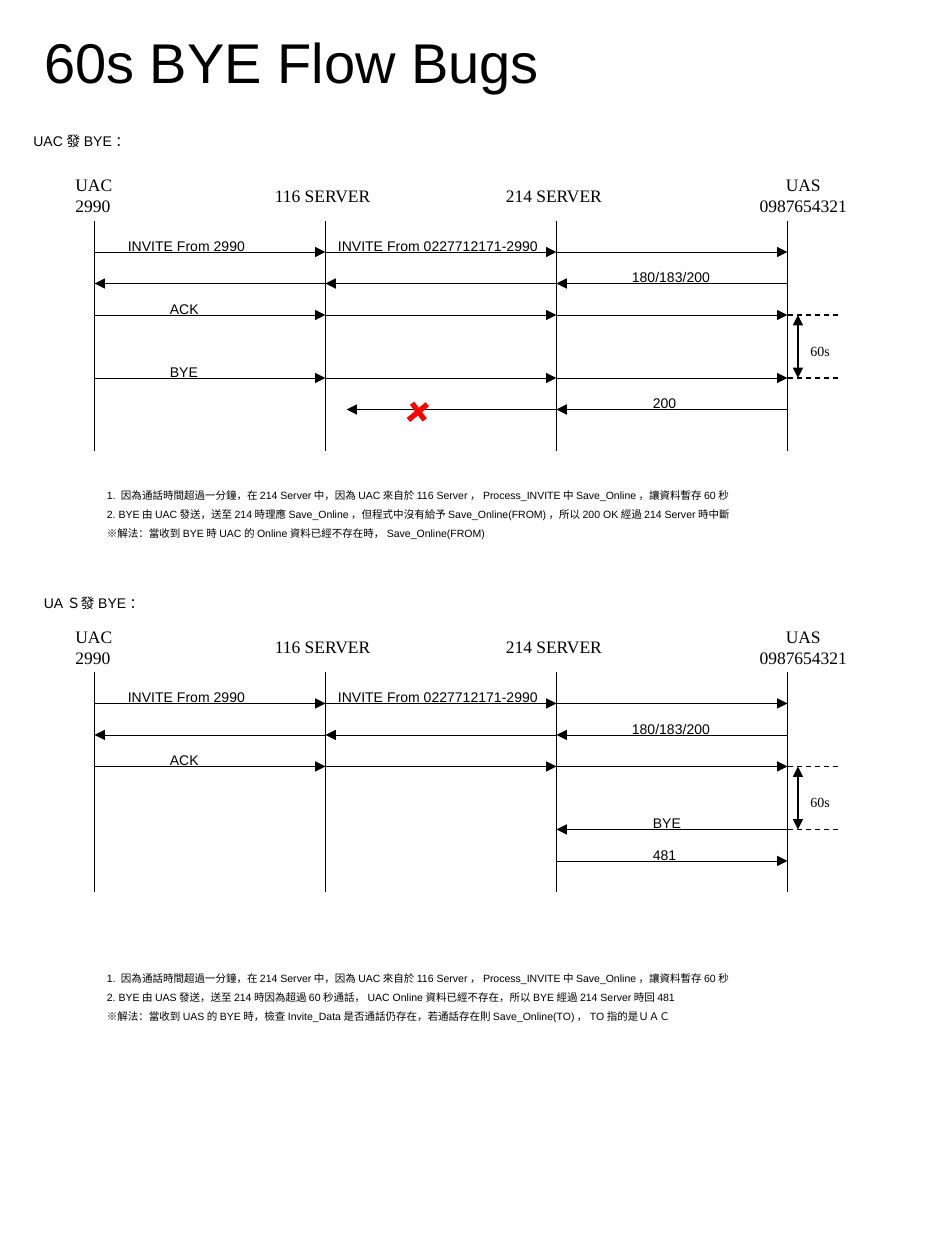
from pptx import Presentation
from pptx.dml.color import RGBColor
from pptx.enum.dml import MSO_LINE
from pptx.enum.shapes import MSO_CONNECTOR
from pptx.enum.text import MSO_ANCHOR, MSO_AUTO_SIZE, PP_ALIGN
from pptx.oxml.ns import qn
from pptx.util import Inches, Pt
from lxml.etree import SubElement

prs = Presentation()
prs.slide_width, prs.slide_height = Inches(7.5), Inches(10)
s = prs.slides.add_slide(prs.slide_layouts[5])
U = Inches(1) // 12  # grid unit: a twelfth of an inch
SANS, SERIF = "Arial", "Times New Roman"


def add_text(x, y, w, h, lines, size, font=SANS, before=0, align=PP_ALIGN.LEFT, sp=None):
    """Put lines of text in a box given in grid units."""
    sp = sp or s.shapes.add_textbox(0, 0, 0, 0)
    sp.left, sp.top, sp.width, sp.height = (round(v * U) for v in (x, y, w, h))
    tf = sp.text_frame
    tf.text = "\n".join(lines)
    tf.word_wrap = True
    tf.auto_size = MSO_AUTO_SIZE.SHAPE_TO_FIT_TEXT
    tf.vertical_anchor = MSO_ANCHOR.TOP
    for p in tf.paragraphs:
        p.alignment = align
        p.space_before = Pt(before)
        for r in p.runs:
            r.font.size, r.font.name = Pt(size), font
            r.font.color.rgb = RGBColor.from_string("000000")


def add_line(x1, y1, x2, y2, width, color="000000", ends=(), dash=None):
    """Draw a line in grid units; ends lists the arrowheads."""
    c = s.shapes.add_connector(MSO_CONNECTOR.STRAIGHT, *(round(v * U) for v in (x1, y1, x2, y2)))
    c.line.width = Pt(width)
    c.line.color.rgb = RGBColor.from_string(color)
    if dash:
        c.line.dash_style = dash
    for end in ends:
        SubElement(c.line._get_or_add_ln(), qn(f"a:{end}"), type="triangle")
    SubElement(c._element.spPr, qn("a:effectLst"))


# Title
add_text(3, 2, 64, 7.7, ["60s BYE Flow Bugs"], 32, before=20, sp=s.shapes.title)

# Lifelines: four columns at equal gaps
UAC, S116, S214, UAS = (9 + 22 * i for i in range(4))

# Messages: row, stops along the way, then (label, x) pairs
common = [
    (3, [UAC, S116, S214, UAS], [("INVITE From 2990", 11, 15), ("INVITE From 0227712171-2990", 31, 22)]),
    (6, [UAS, S214, S116, UAC], [("180/183/200", 59, 10)]),
    (9, [UAC, S116, S214, UAS], [("ACK", 15, 6)]),
]
uac_bye = [
    (15, [UAC, S116, S214, UAS], [("BYE", 15, 6)]),
    (18, [UAS, S214, S116 + 2], [("200", 61, 5)]),
]
uas_bye = [
    (15, [UAS, S214], [("BYE", 61, 6)]),
    (18, [S214, UAS], [("481", 61, 5)]),
]
cause = "1. 因為通話時間超過一分鐘，在214 Server中，因為UAC來自於116 Server，Process_INVITE中Save_Online，讓資料暫存60秒"
uac_notes = [
    cause,
    "2. BYE由UAC發送，送至214時理應Save_Online，但程式中沒有給予Save_Online(FROM)，所以200 OK經過214 Server時中斷",
    "※解法：當收到BYE時UAC的Online資料已經不存在時，Save_Online(FROM)",
]
uas_notes = [
    cause,
    "2. BYE由UAS發送，送至214時因為超過60秒通話，UAC Online資料已經不存在，所以BYE經過214 Server時回481",
    "※解法：當收到UAS的BYE時，檢查Invite_Data是否通話仍存在，若通話存在則Save_Online(TO)，TO指的是ＵＡＣ",
]

# Flows: caption and its place, top and length of lifelines, messages, notes and their row
flows = [
    ("UAC發BYE：", 2, 12, 21, 22, common + uac_bye, uac_notes, 46),
    ("UAＳ發BYE：", 3, 56, 64, 21, common + uas_bye, uas_notes, 92),
]
for caption, cap_x, cap_y, top, length, messages, notes, notes_y in flows:
    add_text(cap_x, cap_y, 12, 2.9, [caption], 8, before=5)

    # Parties
    add_text(6, top - 5, 6, 5.3, ["UAC", "2990"], 10, SERIF)
    add_text(25, top - 4, 12, 3.2, ["116 SERVER"], 10, SERIF, 6.2)
    add_text(47, top - 4, 12, 3.2, ["214 SERVER"], 10, SERIF, 6.2)
    add_text(71, top - 5, 11, 5.3, ["UAS", "0987654321"], 10, SERIF, align=PP_ALIGN.CENTER)
    for x in (UAC, S116, S214, UAS):
        add_line(x, top, x, top + length, 1)

    # Messages
    for row, stops, labels in messages:
        y = top + row
        for start, end in zip(stops, stops[1:]):
            add_line(start, y, end, y, 0.5, ends=["tailEnd"])
        for label, x, w in labels:
            add_text(x, y - 2, w, 2.9, [label], 8, before=5)

    # 60-second span between ACK and BYE
    for row in (9, 15):
        add_line(UAS, top + row, UAS + 5, top + row, 0.75, dash=MSO_LINE.DASH)
    add_line(UAS + 1, top + 9, UAS + 1, top + 15, 0.75, ends=["headEnd", "tailEnd"])
    add_text(UAS + 1, top + 11, 5, 2.9, ["60s"], 8, SERIF, 5)

    add_text(9, notes_y, 73, 6.1, notes, 6, before=3.7)

# Red cross on the lost 200
add_line(39.25, 38.4, 40.45, 40, 3, "FF0000")
add_line(40.7, 38.5, 38.9, 40, 3, "FF0000")

prs.save("out.pptx")
